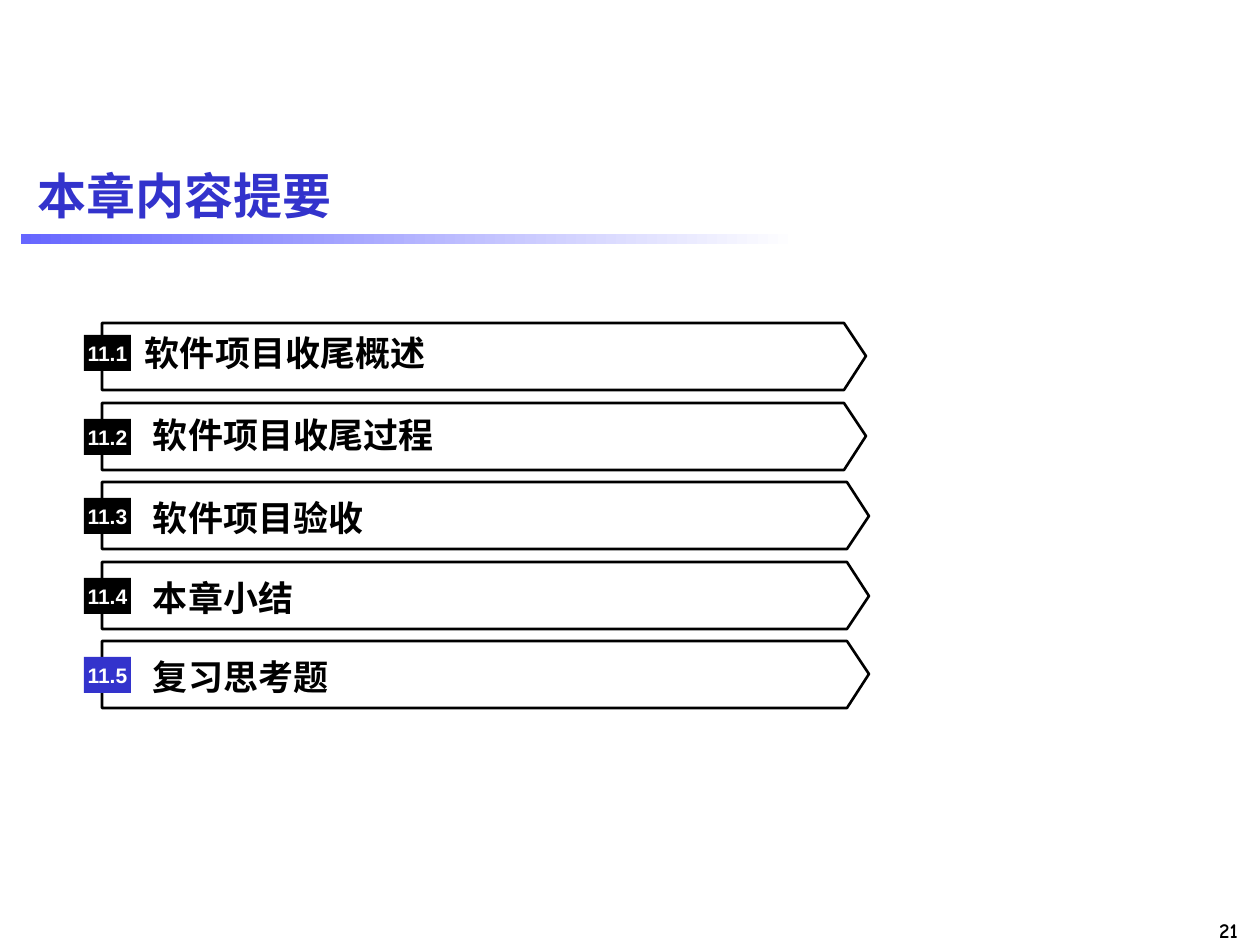
import pptx
import pptx.util
import pptx.dml.color
import pptx.enum.shapes
import pptx.enum.text
import pptx.oxml.ns
import lxml.etree

PX = 914400 / 126
CJK = "Noto Sans CJK SC"
ALIGN = pptx.enum.text.PP_ALIGN
ANCHOR = pptx.enum.text.MSO_ANCHOR
RECT = pptx.enum.shapes.MSO_SHAPE.RECTANGLE
ROW_PITCH = 79.6


def emu(*lengths):
    return [round(v * PX) for v in lengths]


def rgb(value):
    return pptx.dml.color.RGBColor.from_string(value)


def write(sp, text, size=20, color="000000", font="Arial", align=ALIGN.LEFT,
          anchor=ANCHOR.MIDDLE, margins=(0, 0, 0, 0)):
    tf = sp.text_frame
    tf.word_wrap = True
    tf.auto_size = pptx.enum.text.MSO_AUTO_SIZE.NONE
    tf.vertical_anchor = anchor
    tf.margin_left, tf.margin_top, tf.margin_right, tf.margin_bottom = emu(*margins)
    p = tf.paragraphs[0]
    p.alignment = align
    r = p.add_run()
    r.text = text
    r.font.name = font
    r.font.size = pptx.util.Pt(size)
    r.font.bold = True
    r.font.color.rgb = rgb(color)
    ea = lxml.etree.SubElement(r.font._element, pptx.oxml.ns.qn("a:ea"))
    ea.set("typeface", CJK)


def rect(shapes, x, y, w, h, fill=None):
    sp = shapes.add_shape(RECT, *emu(x, y, w, h))
    sp.shadow.inherit = False
    sp.line.fill.background()
    if fill:
        sp.fill.solid()
        sp.fill.fore_color.rgb = rgb(fill)
    return sp


def add_header(s, x, y, w, h, text):
    title = s.shapes.title
    title.left, title.top, title.width, title.height = emu(x, y, w, h)
    write(title, text, size=28, color="3333CC", margins=(13, 6, 13, 6))
    bar = rect(s.shapes, x - 4, y + 89, 777, 10)
    bar.fill.gradient()
    bar.fill.gradient_angle = 0
    for stop, color in zip(bar.fill.gradient_stops, ("6666FF", "FFFFFF")):
        stop.color.rgb = rgb(color)


def add_row(s, x, y, w, h, number, text, label_dy, badge_dy, indent, badge_fill, label_fill):
    group = s.shapes.add_group_shape()
    tip = x + w - 22
    builder = group.shapes.build_freeform(x, y, scale=PX)
    builder.add_line_segments(
        [(tip, y), (x + w, y + h / 2), (tip, y + h), (x, y + h)], close=True)
    plate = builder.convert_to_shape()
    plate.shadow.inherit = False
    plate.fill.background()
    plate.line.color.rgb = rgb("000000")
    plate.line.width = pptx.util.Pt(1.5)
    if label_fill:
        label = rect(group.shapes, x + 35, y + label_dy, 680, 42, label_fill)
    else:
        label = group.shapes.add_textbox(*emu(x + 35, y + label_dy, 680, 42))
    write(label, text, margins=(indent, 0, 0, 0))
    badge = rect(group.shapes, x - 18, y + badge_dy, 47, 36, badge_fill)
    write(badge, number, size=12, color="FFFFFF", align=ALIGN.CENTER)


def add_agenda(s, x, y, h):
    rows = [
        ("软件项目收尾概述", 764, 8, 12, 8, "000000", None),
        ("软件项目收尾过程", 764, 10, 16, 16, "000000", None),
        ("软件项目验收", 767, 14, 16, 16, "000000", None),
        ("本章小结", 767, 14, 16, 16, "000000", None),
        ("复习思考题", 767, 14, 16, 16, "3333CC", "FFFFFF"),
    ]
    for i, (text, w, *layout) in enumerate(rows):
        add_row(s, x, y + round(i * ROW_PITCH), w, h, f"11.{i + 1}", text, *layout)


def add_page_number(s, x, y, w, h, text):
    sp = s.shapes.add_textbox(*emu(x, y, w, h))
    write(sp, text, size=12, font="Comic Neue", align=ALIGN.RIGHT,
          anchor=ANCHOR.TOP, margins=(13, 6, 13, 6))


def main():
    prs = pptx.Presentation()
    prs.slide_width, prs.slide_height = emu(1260, 945)
    s = prs.slides.add_slide(prs.slide_layouts[5])
    add_header(s, 25, 145, 1211, 100, "本章内容提要")
    add_agenda(s, 102, 323, 67)
    add_page_number(s, 1135, 912, 116, 38, "21")
    prs.save("out.pptx")


if __name__ == "__main__":
    main()
